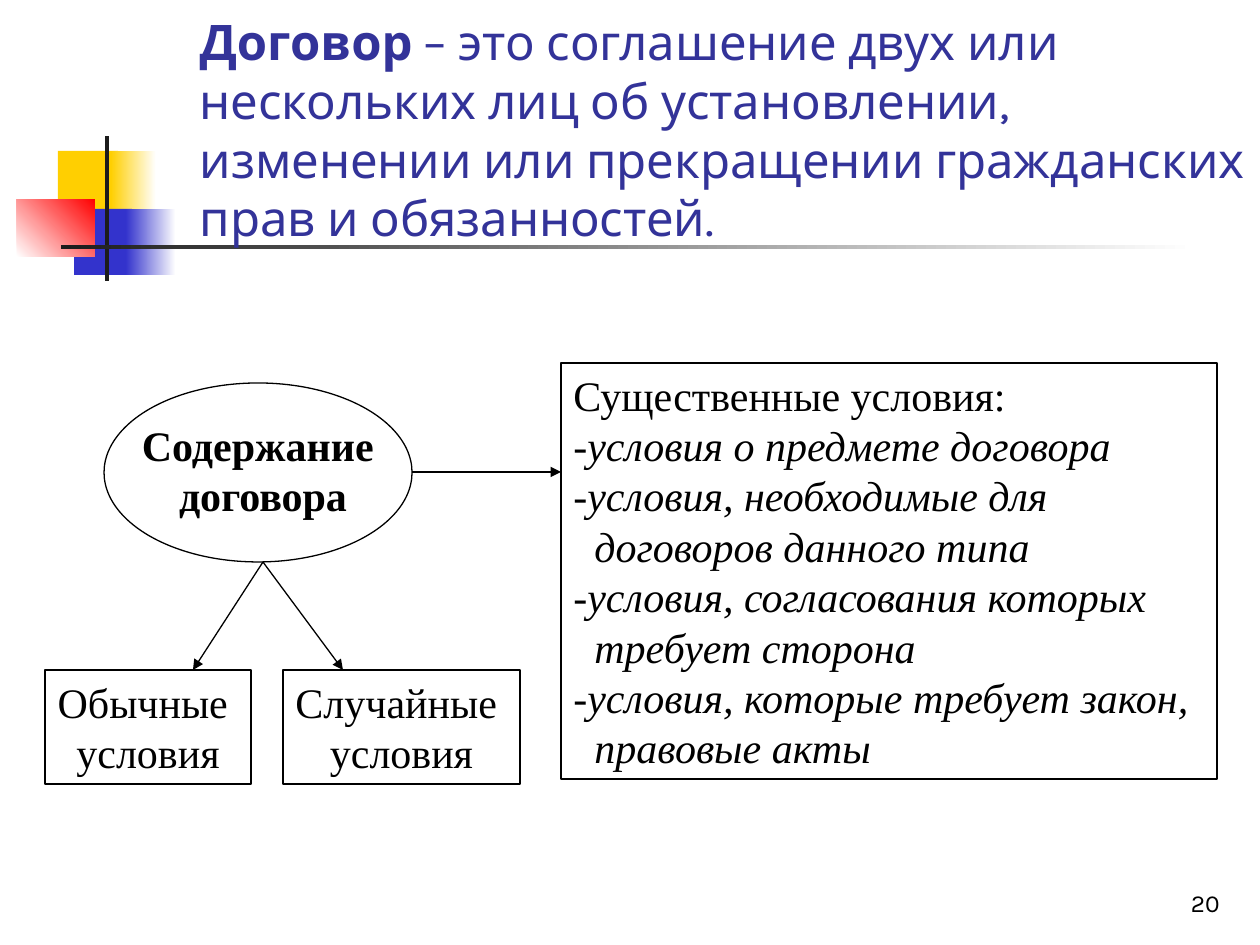
from dataclasses import dataclass

from lxml.etree import SubElement
from pptx import Presentation
from pptx.dml.color import RGBColor
from pptx.enum.shapes import MSO_CONNECTOR as Connector, MSO_SHAPE as Preset
from pptx.enum.text import MSO_ANCHOR as Anchor, PP_ALIGN as Align
from pptx.oxml.ns import qn
from pptx.util import Pt

EMU_PER_PX = 914400 / 126


@dataclass(frozen=True)
class Theme:
    white: str = "FFFFFF"
    black: str = "000000"
    title: str = "333399"
    yellow: str = "FFCF01"
    blue: str = "3333CC"
    red: str = "FF0000"
    bar: str = "1C1C1C"
    heading_font: str = "Karla"
    body_font: str = "Times New Roman"
    title_size: int = 28
    body_size: int = 24
    number_size: int = 14
    line_width: float = 0.75


@dataclass(frozen=True)
class Box:
    left: int
    top: int
    width: int
    height: int

    def inner(self, left, top, width, height):
        return Box(self.left + left, self.top + top, width, height)

    def emu(self):
        return [px(n) for n in (self.left, self.top, self.width, self.height)]


THEME = Theme()


def px(length):
    return round(length * EMU_PER_PX)


def color(value):
    return RGBColor.from_string(value)


def add_run(paragraph, text, font=THEME.body_font, size=THEME.body_size,
            value=THEME.black, bold=False, italic=False):
    run = paragraph.add_run()
    run.text = text
    run.font.name = font
    run.font.size = Pt(size)
    run.font.color.rgb = color(value)
    run.font.bold = bold
    run.font.italic = italic


def next_paragraph(frame, index):
    """Return the existing first paragraph, or a new one after it."""
    return frame.add_paragraph() if index else frame.paragraphs[0]


def add_block(slide, box, start, end=None, angle=0):
    """Draw a borderless rectangle, plain or fading from start to end."""
    shape = slide.shapes.add_shape(Preset.RECTANGLE, *box.emu())
    shape.shadow.inherit = False
    shape.line.fill.background()
    if end is None:
        shape.fill.solid()
        shape.fill.fore_color.rgb = color(start)
        return
    shape.fill.gradient()
    shape.fill.gradient_angle = angle
    for stop, value in zip(shape.fill.gradient_stops, (start, end)):
        stop.color.rgb = color(value)


def add_outline(slide, box, preset=Preset.RECTANGLE):
    shape = slide.shapes.add_shape(preset, *box.emu())
    shape.shadow.inherit = False
    shape.fill.background()
    shape.line.color.rgb = color(THEME.black)
    shape.line.width = Pt(THEME.line_width)
    shape.text_frame.vertical_anchor = Anchor.TOP
    return shape


def add_arrow(slide, box, start, end):
    (x1, y1), (x2, y2) = start, end
    arrow = slide.shapes.add_connector(
        Connector.STRAIGHT, px(box.left + x1), px(box.top + y1),
        px(box.left + x2), px(box.top + y2))
    arrow.line.color.rgb = color(THEME.black)
    arrow.line.width = Pt(THEME.line_width)
    SubElement(arrow.line._get_or_add_ln(), qn("a:tailEnd"), type="triangle")
    SubElement(arrow._element.spPr, qn("a:effectLst"))


def write_centered(frame, lines, bold=False):
    frame.word_wrap = False
    for index, line in enumerate(lines):
        paragraph = next_paragraph(frame, index)
        paragraph.alignment = Align.CENTER
        add_run(paragraph, line, bold=bold)


def draw_ornament(slide, box):
    for value, top, left, width, fade_left, fade_width in (
            (THEME.yellow, 15, 41, 60, 94, 45),
            (THEME.blue, 73, 57, 58, 109, 50)):
        add_block(slide, box.inner(left, top, width, 66), value)
        add_block(slide, box.inner(fade_left, top, fade_width, 66), value, THEME.white)
    add_block(slide, box.inner(0, 63, 78, 58), THEME.white, THEME.red, 45)
    add_block(slide, box.inner(88, 0, 4, 145), THEME.bar)
    add_block(slide, box.inner(44, 109, 1134, 4), THEME.bar, THEME.white)


def draw_title(slide, box):
    title = slide.shapes.title
    title.left, title.top, title.width, title.height = box.emu()
    slide.shapes._spTree.append(title._element)  # in front of the ornament
    frame = title.text_frame
    frame.word_wrap = True
    frame.vertical_anchor = Anchor.BOTTOM
    paragraph = frame.paragraphs[0]
    paragraph.alignment = Align.LEFT
    style = (THEME.heading_font, THEME.title_size, THEME.title)
    add_run(paragraph, "Договор", *style, bold=True)
    add_run(paragraph, " – это соглашение двух или нескольких лиц об установлении, "
            "изменении или прекращении гражданских прав и обязанностей.", *style)


def draw_essential_terms(slide, box):
    frame = add_outline(slide, box).text_frame
    frame.word_wrap = True
    terms = (
        ("-условия о предмете договора",),
        ("-условия, необходимые для", "договоров данного типа"),
        ("-условия, согласования которых", "требует сторона"),
        ("-условия, которые требует закон,", "правовые акты"),
    )
    heading = frame.paragraphs[0]
    heading.alignment = Align.LEFT
    add_run(heading, "Существенные условия:")
    for term in terms:
        for index, line in enumerate(term):
            paragraph = frame.add_paragraph()
            paragraph.alignment = Align.LEFT
            if index:
                paragraph._p.get_or_add_pPr().set("marL", str(px(21)))
            add_run(paragraph, line, italic=True)


def draw_contract_diagram(slide, box):
    draw_essential_terms(slide, box.inner(516, 0, 656, 416))
    for left, width, name in ((0, 206, "Обычные "), (238, 237, "Случайные ")):
        shape = add_outline(slide, box.inner(left, 307, width, 114))
        write_centered(shape.text_frame, (name, "условия"))
    add_arrow(slide, box, (367, 109), (516, 109))
    for target in (148, 298):
        add_arrow(slide, box, (218, 199), (target, 307))
    label = slide.shapes.add_textbox(*box.inner(84, 50, 268, 113).emu())
    write_centered(label.text_frame, ("Содержание ", "договора"), bold=True)
    add_outline(slide, box.inner(59, 20, 308, 179), Preset.OVAL)


def draw_slide_number(slide, box):
    frame = slide.shapes.add_textbox(*box.emu()).text_frame
    frame.word_wrap = True
    frame.vertical_anchor = Anchor.BOTTOM
    paragraph = frame.paragraphs[0]
    paragraph.alignment = Align.RIGHT
    add_run(paragraph, "20", THEME.heading_font, THEME.number_size)


def main():
    presentation = Presentation()
    presentation.slide_width, presentation.slide_height = px(1260), px(945)
    slide = presentation.slides.add_slide(presentation.slide_layouts[5])
    slide.background.fill.solid()
    slide.background.fill.fore_color.rgb = color(THEME.white)
    draw_ornament(slide, Box(17, 136, 1178, 146))
    draw_slide_number(slide, Box(970, 861, 262, 63))
    draw_title(slide, Box(187, 16, 1073, 237))
    draw_contract_diagram(slide, Box(45, 363, 1172, 421))
    presentation.save("out.pptx")


if __name__ == "__main__":
    main()
